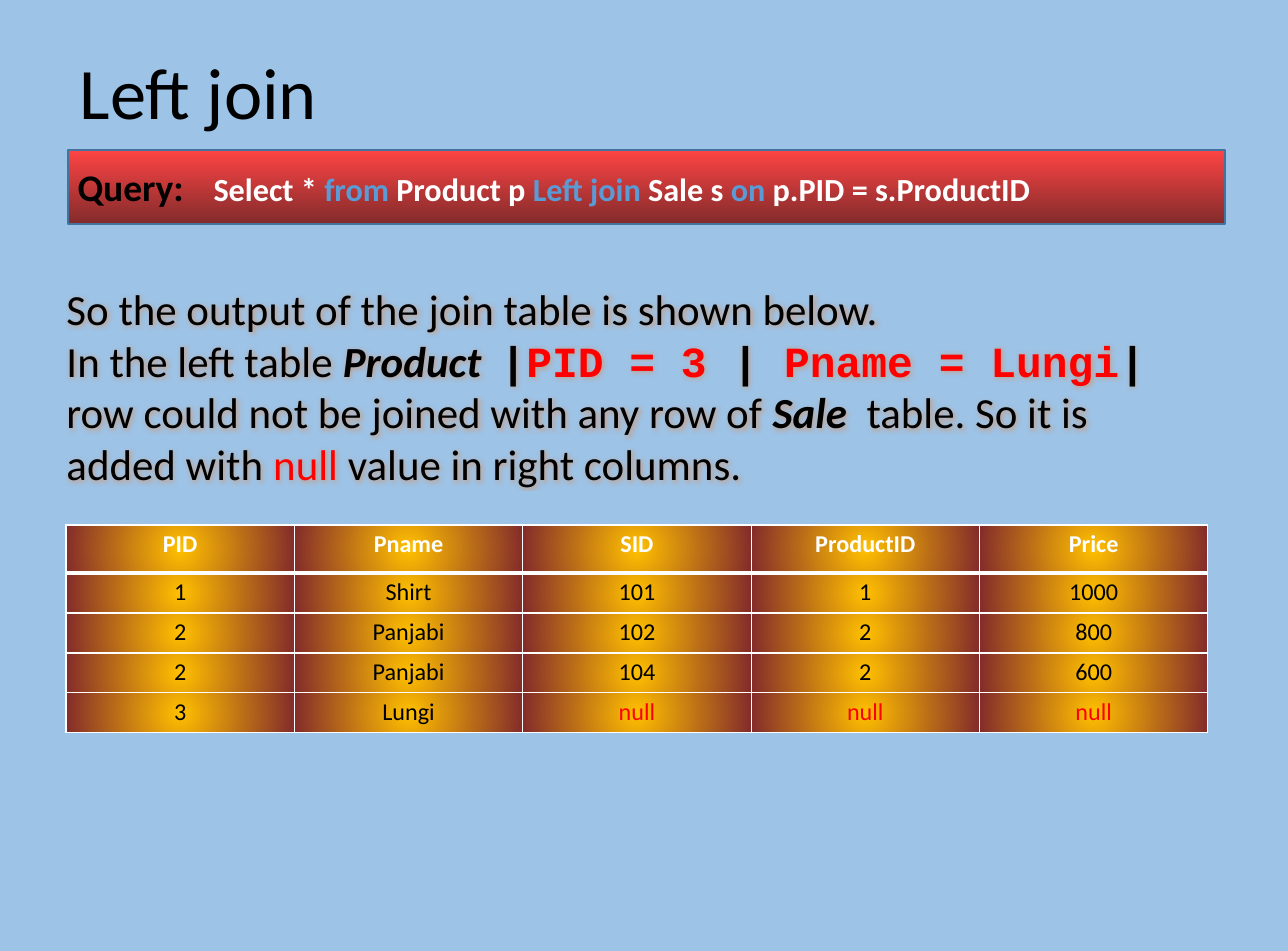
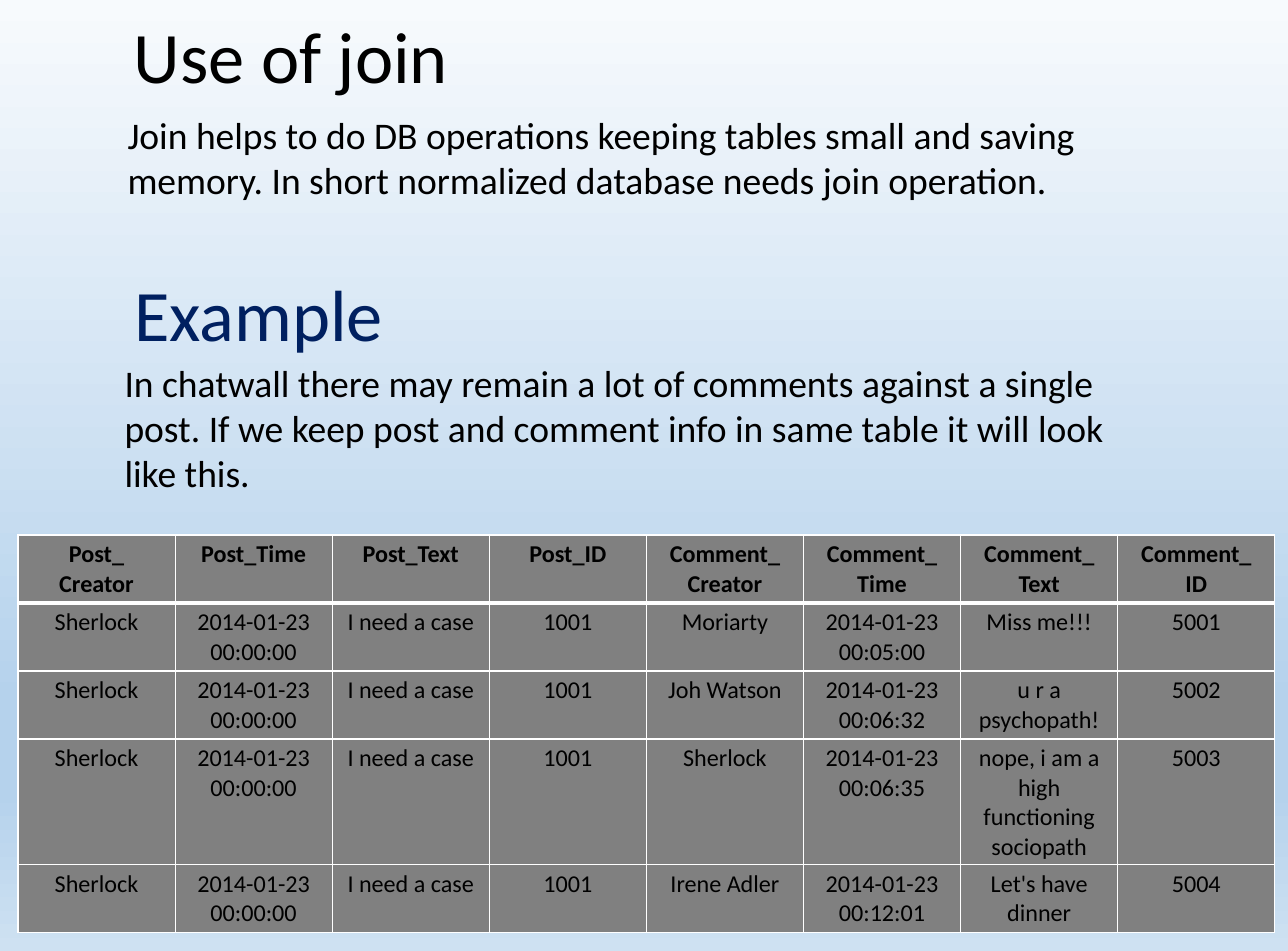
from dataclasses import dataclass

from pptx import Presentation
from pptx.dml.color import RGBColor
from pptx.enum.shapes import MSO_SHAPE
from pptx.enum.text import MSO_ANCHOR, PP_ALIGN
from pptx.oxml import parse_xml
from pptx.oxml.ns import nsdecls, qn
from pptx.util import Pt

RECT = MSO_SHAPE.RECTANGLE
MIDDLE = MSO_ANCHOR.MIDDLE
LEFT, CENTER = PP_ALIGN.LEFT, PP_ALIGN.CENTER
EMU_PER_PX = 9466
SLIDE_W, SLIDE_H = 1288, 951
LINEAR = '<a:lin ang="5400000" scaled="0"/>'
RADIAL = '<a:path path="circle"><a:fillToRect l="50000" t="50000" r="50000" b="50000"/></a:path>'


@dataclass(frozen=True)
class Theme:
    font: str = "Calibri"
    mono: str = "Courier New"
    ink: str = "000000"
    white: str = "FFFFFF"
    red: str = "FF0000"
    navy: str = "002060"
    keyword: str = "5B9BD5"
    edge: str = "43739E"
    gray: str = "808080"
    sky: str = "9DC3E6"
    glow: str = "ED7D31"
    sky_fade: tuple = ((0, "F7FAFD"), (74, "B5D2EC"), (83, "B5D2EC"), (100, "CEE1F2"))
    bar_fade: tuple = ((0, "FE4444"), (100, "832B2B"))
    cell_fade: tuple = ((0, "FFC000"), (100, "832B2B"))
    title: int = 54
    lead: int = 32
    body: int = 28
    code: int = 24
    cell: int = 18


T = Theme()


def px(n):
    return n * EMU_PER_PX


def scaled(box):
    return [px(n) for n in box]


def set_solid(fill, color):
    fill.solid()
    fill.fore_color.rgb = RGBColor.from_string(color)


def set_gradient(fill, root, stops, shade):
    fill.gradient()
    gs = "".join(f'<a:gs pos="{pos * 1000}"><a:srgbClr val="{color}"/></a:gs>'
                 for pos, color in stops)
    new = parse_xml(f'<a:gradFill {nsdecls("a")} rotWithShape="1">'
                    f'<a:gsLst>{gs}</a:gsLst>{shade}</a:gradFill>')
    old = next(root.iter(qn("a:gradFill")))
    old.getparent().replace(old, new)


def style_font(font, size=None, color=None, bold=None, italic=None, name=None):
    if size:
        font.size = Pt(size)
    if color:
        font.color.rgb = RGBColor.from_string(color)
    if name:
        font.name = name
    if bold is not None:
        font.bold = bold
    if italic is not None:
        font.italic = italic


def style_paragraph(p, size, color=T.ink, bold=False, align=LEFT, tabs=()):
    p.alignment = align
    if tabs:
        stops = "".join(f'<a:tab pos="{px(n)}" algn="l"/>' for n in tabs)
        p._p.get_or_add_pPr().append(
            parse_xml(f'<a:tabLst {nsdecls("a")}>{stops}</a:tabLst>'))
    style_font(p.font, size, color, bold, name=T.font)


def add_runs(p, runs, glow=False):
    for text, style in runs:
        r = p.add_run()
        r.text = text
        style_font(r.font, **style)
        if glow and text != "null":
            add_glow(r, style.get("color", T.ink))


def add_glow(r, color):
    r.font.color.rgb = RGBColor.from_string(color)
    r.font._element.find(qn("a:solidFill")).addnext(parse_xml(
        f'<a:effectLst {nsdecls("a")}><a:glow rad="63500"><a:srgbClr val="{T.glow}">'
        '<a:alpha val="40000"/></a:srgbClr></a:glow></a:effectLst>'))


def add_text(slide, box, wrap=True):
    tf = slide.shapes.add_textbox(*scaled(box)).text_frame
    tf.word_wrap = wrap
    return tf


def add_title(slide, box, text, color=T.ink):
    p = add_text(slide, box, wrap=False).paragraphs[0]
    p.text = text
    style_paragraph(p, T.title, color, align=CENTER)


def add_body(slide, box, text):
    p = add_text(slide, box).paragraphs[0]
    p.text = text
    style_paragraph(p, T.body)


def add_glowing_text(slide, box, paragraphs, tabs):
    tf = add_text(slide, box)
    for i, runs in enumerate(paragraphs):
        p = tf.add_paragraph() if i else tf.paragraphs[0]
        style_paragraph(p, T.lead, tabs=tabs)
        add_runs(p, runs, glow=True)


def add_query_bar(slide, box, runs):
    sp = slide.shapes.add_shape(RECT, *scaled(box))
    sp.shadow.inherit = False
    set_gradient(sp.fill, sp.element, T.bar_fade, LINEAR)
    sp.line.color.rgb = RGBColor.from_string(T.edge)
    sp.line.width = Pt(1)
    tf = sp.text_frame
    tf.word_wrap = True
    tf.vertical_anchor = MIDDLE
    p = tf.paragraphs[0]
    style_paragraph(p, T.code, T.white, bold=True, tabs=(136,))
    add_runs(p, runs)


def set_borders(cell, row):
    tcPr = cell._tc.get_or_add_tcPr()
    widths = {"L": 1, "R": 1, "T": 3 if row == 1 else 1, "B": 3 if row == 0 else 1}
    for i, (side, width) in enumerate(widths.items()):
        tcPr.insert(i, parse_xml(
            f'<a:ln{side} {nsdecls("a")} w="{Pt(width)}"><a:solidFill>'
            f'<a:srgbClr val="{T.white}"/></a:solidFill></a:ln{side}>'))


def add_grid(slide, box, heights, rows, head_color, paint):
    x, y, w, h = scaled(box)
    table = slide.shapes.add_table(len(rows), len(rows[0]), x, y, w, h).table
    for col in table.columns:
        col.width = w // len(rows[0])
    for i, (row, height) in enumerate(zip(rows, heights)):
        table.rows[i].height = px(height)
        for j, text in enumerate(row):
            cell = table.cell(i, j)
            cell.text = text
            paint(cell)
            set_borders(cell, i)
            color = head_color if i == 0 else T.red if text == "null" else T.ink
            for p in cell.text_frame.paragraphs:
                style_paragraph(p, T.cell, color, bold=i == 0, align=CENTER)


def paint_amber(cell):
    set_gradient(cell.fill, cell._tc, T.cell_fade, RADIAL)


def paint_gray(cell):
    set_solid(cell.fill, T.gray)


def build_left_join(slide):
    set_solid(slide.background.fill, T.sky)
    add_title(slide, (57, 42, 283, 98), "Left join")
    keyword = {"color": T.keyword}
    add_query_bar(slide, (68, 150, 1157, 74), [
        ("Query:", {"size": T.body, "color": T.ink}),
        ("\tSelect * ", {}),
        ("from", keyword),
        (" Product p ", {}),
        ("Left join", keyword),
        (" Sale s ", {}),
        ("on", keyword),
        (" p.PID = s.ProductID", {}),
    ])
    rows = [
        ("PID", "Pname", "SID", "ProductID", "Price"),
        ("1", "Shirt", "101", "1", "1000"),
        ("2", "Panjabi", "102", "2", "800"),
        ("2", "Panjabi", "104", "2", "600"),
        ("3", "Lungi", "null", "null", "null"),
    ]
    add_grid(slide, (66, 525, 1142, 210), (48, 40, 40, 40, 40), rows, T.white, paint_amber)
    name = {"bold": True, "italic": True}
    bar = {"name": T.mono, "bold": True}
    value = {**bar, "color": T.red}
    add_glowing_text(slide, (57, 278, 1149, 216), [
        [("So the output of the join table is shown below.", {})],
        [
            ("In the left table ", {}),
            ("Product\t", name),
            ("|", bar),
            ("PID = 3 ", value),
            ("|", bar),
            (" Pname = Lungi", value),
            ("|", bar),
            (" row could not be joined with any row of ", {}),
            ("Sale\t", name),
            ("table. So it is added with ", {}),
            ("null", {"color": T.red}),
            (" value in right columns.", {}),
        ],
    ], tabs=(434, 800))


def build_use_of_join(slide):
    set_gradient(slide.background.fill, slide.element, T.sky_fade, LINEAR)
    add_title(slide, (108, 6, 366, 98), "Use of join")
    add_body(slide, (118, 107, 1049, 145),
             "Join helps to do DB operations keeping tables small and saving memory. "
             "In short normalized database needs join operation.")
    add_title(slide, (110, 264, 297, 98), "Example", T.navy)
    add_body(slide, (115, 355, 1049, 145),
             "In chatwall there may remain a lot of comments against a single post. "
             "If we keep post and comment info in same table it will look like this.")
    post = ("Sherlock", "2014-01-23 00:00:00", "I need a case", "1001")
    comments = [
        ("Moriarty", "2014-01-23 00:05:00", "Miss me!!!", "5001"),
        ("Joh Watson", "2014-01-23 00:06:32", "u r a psychopath!", "5002"),
        ("Sherlock", "2014-01-23 00:06:35", "nope, i am a high functioning sociopath", "5003"),
        ("Irene Adler", "2014-01-23 00:12:01", "Let's have dinner", "5004"),
    ]
    head = ("Post_\nCreator", "Post_Time", "Post_Text", "Post_ID", "Comment_\nCreator",
            "Comment_\nTime", "Comment_\nText", "Comment_\nID")
    rows = [head] + [post + comment for comment in comments]
    add_grid(slide, (18, 535, 1257, 396), (68, 68, 68, 125, 67), rows, T.ink, paint_gray)


def main():
    prs = Presentation()
    prs.slide_width, prs.slide_height = px(SLIDE_W), px(SLIDE_H)
    blank = prs.slide_layouts[6]
    for build in (build_left_join, build_use_of_join):
        build(prs.slides.add_slide(blank))
    prs.save("out.pptx")


if __name__ == "__main__":
    main()
